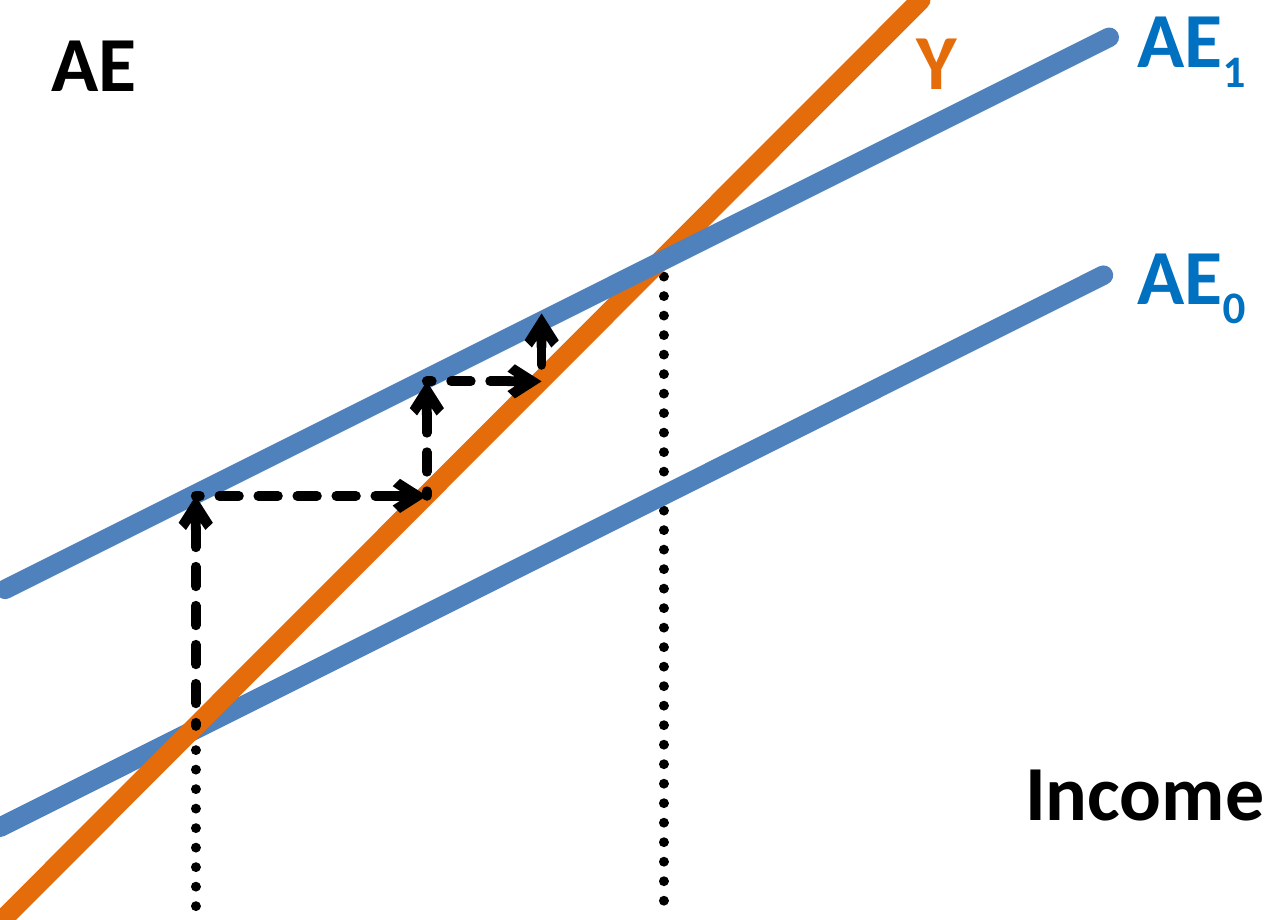
from pptx import Presentation
from pptx.dml.color import RGBColor
from pptx.enum import dml, shapes, text
from pptx.oxml.ns import qn
from pptx.util import Pt
from lxml import etree

BLACK = RGBColor(0x00, 0x00, 0x00)
BLUE = RGBColor(0x4F, 0x81, 0xBD)
LABEL_BLUE = RGBColor(0x00, 0x70, 0xC0)
ORANGE = RGBColor(0xE4, 0x6C, 0x0A)

# Content, in points
SLIDE_W, SLIDE_H = 396.85, 283.46
INCOME_0, INCOME_1 = 60.3, 204.5
STEP_1, STEP_2 = 131.5, 166.9  # incomes along the adjustment path
SPEND_1, SPEND_2 = 152.8, 117.5  # expenditure along the path
GUIDES = [(INCOME_0, 225.1), (INCOME_1, 79.2)]  # income level, top
CURVES = [  # start, end, colour
    ((0, 254.9), (340, 84.8), BLUE),
    ((0.7, SLIDE_H), (283.7, 0), ORANGE),
    ((1.6, 181.6), (341.8, 11.5), BLUE),
]
# Adjustment path: each arrow as tail, tip
STEPS = [
    ((INCOME_0, 223.7), (INCOME_0, SPEND_1)),
    ((INCOME_0, SPEND_1), (STEP_1, SPEND_1)),
    ((STEP_1, SPEND_1), (STEP_1, SPEND_2)),
    ((STEP_1, SPEND_2), (STEP_2, SPEND_2)),
    ((STEP_2, 114.5), (STEP_2, 96.6)),
]
LABELS = [  # text, subscript, left, top, width, colour, alignment
    ("Y", "", 275.4, 0, 27.4, ORANGE, text.PP_ALIGN.LEFT),
    ("AE", "0", 343.4, 66.2, 49, LABEL_BLUE, text.PP_ALIGN.LEFT),
    ("AE", "1", 343.4, -6.7, 49, LABEL_BLUE, text.PP_ALIGN.LEFT),
    ("AE", "", 8.8, 0.7, 41, BLACK, text.PP_ALIGN.LEFT),
    ("Income", "", 308.2, 225.2, 88.5, BLACK, text.PP_ALIGN.RIGHT),
]
LABEL_H = 36

prs = Presentation()
prs.slide_width, prs.slide_height = Pt(SLIDE_W), Pt(SLIDE_H)
s = prs.slides.add_slide(prs.slide_layouts[6])


def add_line(start, end, color, width, dash=None, arrow=False):
    """Draw a round-capped line; an arrowhead sits at its start."""
    c = s.shapes.add_connector(shapes.MSO_CONNECTOR.STRAIGHT,
                               *(Pt(v) for v in start + end))
    c.line.color.rgb = color
    c.line.width = Pt(width)
    if dash:
        c.line.dash_style = dash
    spPr = c._element.spPr
    ln = spPr.find(qn("a:ln"))
    ln.set("cap", "rnd")
    etree.SubElement(ln, qn("a:round"))
    if arrow:
        etree.SubElement(ln, qn("a:headEnd")).set("type", "arrow")
    etree.SubElement(spPr, qn("a:effectLst"))


# Dotted guides down to the income axis
for x, top in GUIDES:
    add_line((x, top), (x, SLIDE_H), BLACK, 3, dml.MSO_LINE.ROUND_DOT)

# Expenditure curves and the income line
for start, end, color in CURVES:
    add_line(start, end, color, 6)

# Labels
for label, sub, left, top, width, color, align in LABELS:
    sp = s.shapes.add_textbox(Pt(left), Pt(top), Pt(width), Pt(LABEL_H))
    tf = sp.text_frame
    tf.word_wrap = False
    tf.auto_size = text.MSO_AUTO_SIZE.SHAPE_TO_FIT_TEXT
    p = tf.paragraphs[0]
    p.alignment = align
    p.font.name, p.font.size, p.font.bold = "Calibri", Pt(24), True
    p.font.color.rgb = color
    p.add_run().text = label
    if sub:
        r = p.add_run()
        r.text = sub
        r._r.get_or_add_rPr().set("baseline", "-25000")

# Dashed arrows, drawn from the tip
for tail, tip in STEPS:
    add_line(tip, tail, BLACK, 3, dml.MSO_LINE.SQUARE_DOT, arrow=True)

prs.save("out.pptx")
